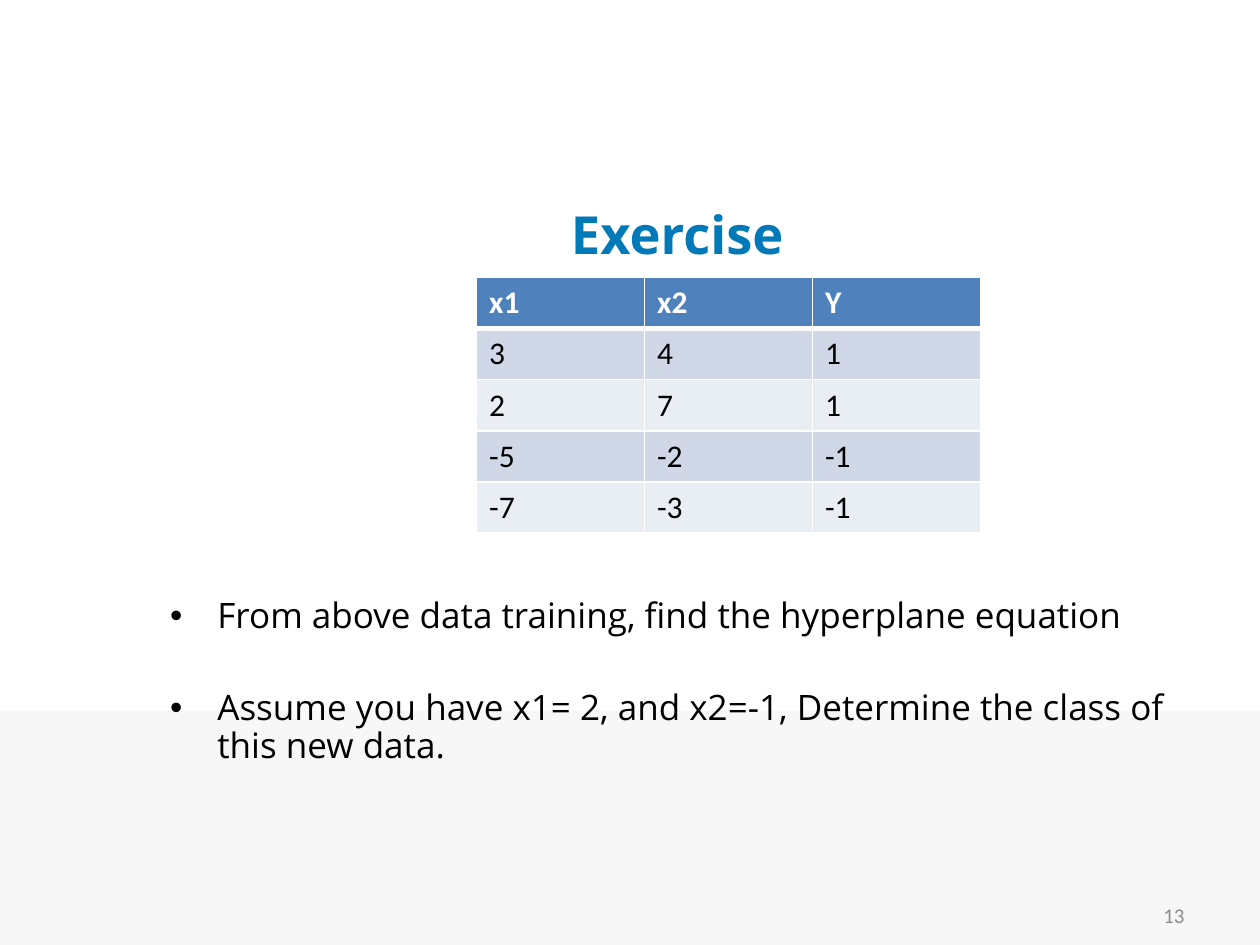
import pptx
import pptx.util
from pptx.dml.color import RGBColor
from pptx.enum.shapes import MSO_SHAPE
from pptx.enum.text import MSO_ANCHOR, MSO_AUTO_SIZE, PP_ALIGN
from pptx.oxml.ns import qn
from lxml import etree

Pt = pptx.util.Pt

# Content
TITLE = "Exercise"
TRAINING_DATA = [
    ("x1", "x2", "Y"),
    ("3", "4", "1"),
    ("2", "7", "1"),
    ("-5", "-2", "-1"),
    ("-7", "-3", "-1"),
]
TASKS = [
    "From above data training, find the hyperplane equation",
    "Assume you have x1= 2, and x2=-1, Determine the class of this new data.",
]
PAGE_NUMBER = "13"

# Colours
WHITE = RGBColor(0xFF, 0xFF, 0xFF)
BLACK = RGBColor(0x00, 0x00, 0x00)
BLUE = RGBColor(0x00, 0x79, 0xB8)
GREY = RGBColor(0x8C, 0x8C, 0x8C)
BAND = RGBColor(0xF7, 0xF7, 0xF7)
HEADER_FILL = RGBColor(0x4F, 0x81, 0xBD)
ROW_FILLS = [RGBColor(0xD0, 0xD8, 0xE8), RGBColor(0xE9, 0xED, 0xF4)]

# Text formats
TITLE_FORMAT = {"name": "Open Sans", "size": Pt(30), "bold": True, "color": BLUE}
TASK_FORMAT = {"name": "Open Sans", "size": Pt(20), "bold": False, "color": BLACK}
HEADER_FORMAT = {"name": "Calibri", "size": Pt(18), "bold": True, "color": WHITE}
CELL_FORMAT = HEADER_FORMAT | {"bold": False, "color": BLACK}
NUMBER_FORMAT = {"name": "Calibri", "size": Pt(12), "bold": False, "color": GREY}

# Places in points: left, top, width, height
BAND_BOX = (0, 406.1, 720, 133.9)
TITLE_BOX = (90, 108, 594, 50.4)
TABLE_BOX = (272.3, 158.6, 288, 146)
TASK_BOX = (90, 338.4, 599, 171.4)
NUMBER_BOX = (516, 508.3, 168, 28.8)
TASK_INDENT = 27
TASK_GAP = 31


def format_font(font, values):
    for name, value in values.items():
        if name == "color":
            font.color.rgb = value
        else:
            setattr(font, name, value)


def place(shape, box):
    for name, value in zip(("left", "top", "width", "height"), box):
        setattr(shape, name, Pt(value))


def fill_text(shape, text, alignment, values):
    frame = shape.text_frame
    frame.word_wrap = True
    frame.auto_size = MSO_AUTO_SIZE.NONE
    frame.vertical_anchor = MSO_ANCHOR.MIDDLE
    paragraph = frame.paragraphs[0]
    paragraph.text = text
    paragraph.alignment = alignment
    format_font(paragraph.runs[0].font, values)


def add_borders(cell, bottom_width, top_width):
    properties = cell._tc.get_or_add_tcPr()
    widths = {"a:lnL": 1, "a:lnR": 1, "a:lnT": top_width, "a:lnB": bottom_width}
    for index, (tag, width) in enumerate(widths.items()):
        line = etree.Element(qn(tag), w=str(Pt(width)))
        fill = etree.SubElement(line, qn("a:solidFill"))
        etree.SubElement(fill, qn("a:srgbClr"), val=str(WHITE))
        properties.insert(index, line)


presentation = pptx.Presentation()
presentation.slide_width, presentation.slide_height = Pt(720), Pt(540)
slide = presentation.slides.add_slide(presentation.slide_layouts[1])
title, body = slide.shapes.title, slide.placeholders[1]

# Footer band, behind everything
band = slide.shapes.add_shape(MSO_SHAPE.RECTANGLE, *map(Pt, BAND_BOX))
band.shadow.inherit = False
band.fill.solid()
band.fill.fore_color.rgb = BAND
band.line.fill.background()
title.element.addprevious(band.element)

# Title
place(title, TITLE_BOX)
fill_text(title, TITLE, PP_ALIGN.CENTER, TITLE_FORMAT)

# Training data table
table = slide.shapes.add_table(
    len(TRAINING_DATA), len(TRAINING_DATA[0]), *map(Pt, TABLE_BOX)
).table
for row_index, row in enumerate(TRAINING_DATA):
    is_header = row_index == 0
    for column_index, text in enumerate(row):
        cell = table.cell(row_index, column_index)
        cell.text = text
        cell.fill.solid()
        cell.fill.fore_color.rgb = (
            HEADER_FILL if is_header else ROW_FILLS[(row_index - 1) % 2]
        )
        add_borders(cell, 3 if is_header else 1, 3 if row_index == 1 else 1)
        font = cell.text_frame.paragraphs[0].runs[0].font
        format_font(font, HEADER_FORMAT if is_header else CELL_FORMAT)

# Task list
place(body, TASK_BOX)
frame = body.text_frame
frame.word_wrap = True
frame.auto_size = MSO_AUTO_SIZE.NONE
for index, task in enumerate(TASKS):
    paragraph = frame.add_paragraph() if index else frame.paragraphs[0]
    paragraph.text = task
    properties = paragraph._p.get_or_add_pPr()
    properties.set("marL", str(Pt(TASK_INDENT)))
    properties.set("indent", str(Pt(-TASK_INDENT)))
    etree.SubElement(properties, qn("a:buFont"), typeface="Arial")
    etree.SubElement(properties, qn("a:buChar"), char="•")
    paragraph.space_before = Pt(TASK_GAP if index else 0)
    paragraph.line_spacing = 0.9
    format_font(paragraph.runs[0].font, TASK_FORMAT)

# Page number
number = slide.shapes.add_textbox(*map(Pt, NUMBER_BOX))
fill_text(number, PAGE_NUMBER, PP_ALIGN.RIGHT, NUMBER_FORMAT)

presentation.save("out.pptx")
